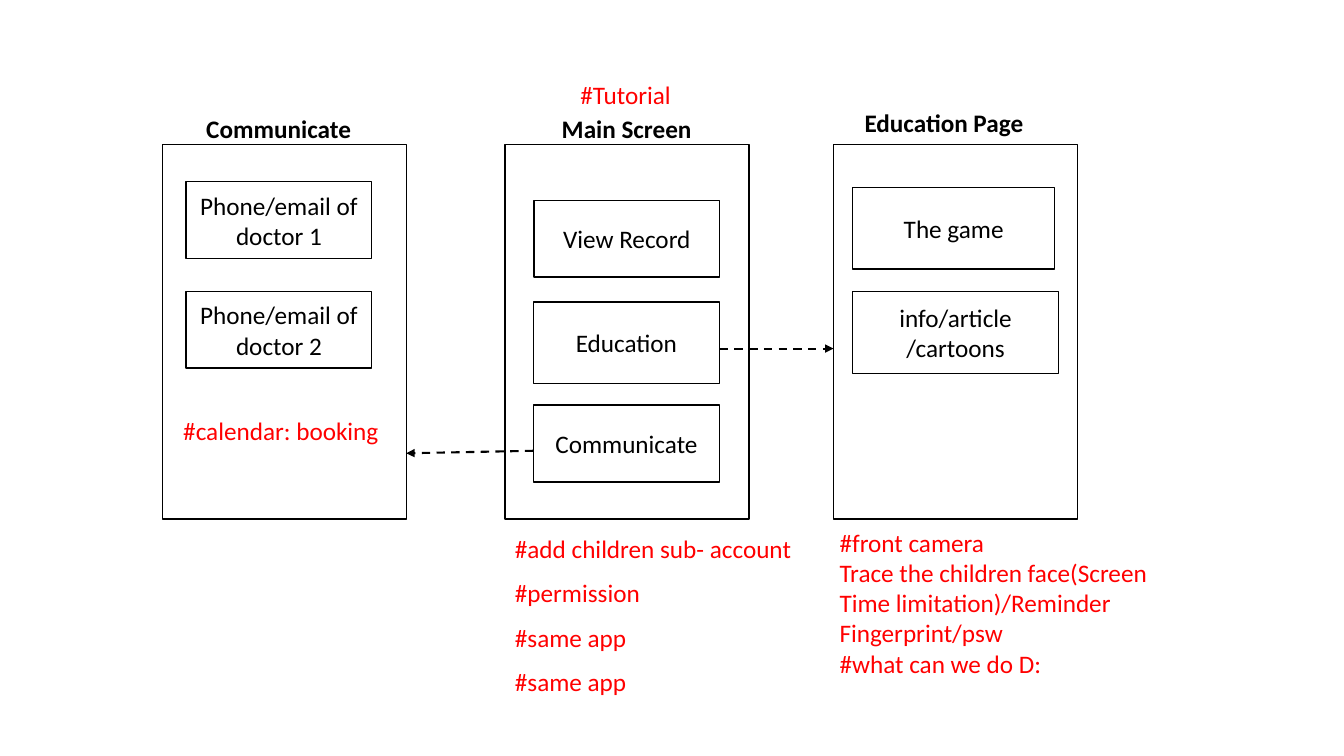
"""Build the app screen-flow slide: three screens, their boxes, links and red notes."""
from typing import NamedTuple

from pptx import Presentation
from pptx.dml.color import RGBColor
from pptx.enum.dml import MSO_LINE
from pptx.enum.shapes import MSO_CONNECTOR, MSO_SHAPE
from pptx.enum.text import MSO_ANCHOR as Anchor, MSO_AUTO_SIZE as AutoSize, PP_ALIGN as Align
from pptx.oxml.ns import qn
from pptx.util import Pt
from lxml.etree import SubElement

BLACK = RGBColor(0, 0, 0)
RED = RGBColor(255, 0, 0)
SCREEN_TOP, SCREEN_WIDTH, SCREEN_HEIGHT = 103, 174.3, 267.8
HEADING_HEIGHT, NOTE_HEIGHT = 31, 29
IDEAS_TOP, IDEA_STEP = 377.4, 31.7


class Area(NamedTuple):
    left: float
    top: float
    width: float
    height: float


class Box(NamedTuple):
    area: Area
    lines: list[str]


class Screen(NamedTuple):
    left: float
    heading: Box
    boxes: list[Box]


class Link(NamedTuple):
    start: tuple[float, float]
    end: tuple[float, float]


SCREENS = [
    Screen(115.9, Box(Area(120.2, 76.3, 157.7, HEADING_HEIGHT), ["Communicate"]), [
        Box(Area(133, 129.8, 132.6, 54.8), ["Phone/email of doctor 1"]),
        Box(Area(133, 208.2, 132.6, 54.8), ["Phone/email of doctor 2"]),
    ]),
    Screen(360.7, Box(Area(385, 76.3, 125.3, HEADING_HEIGHT), ["Main Screen"]), [
        Box(Area(381.5, 143.2, 132.6, 54.8), ["View Record"]),
        Box(Area(381, 215.8, 133, 58.2), ["Education"]),
        Box(Area(381.2, 289.4, 132.6, 54.8), ["Communicate"]),
    ]),
    Screen(595.4, Box(Area(595.4, 72, 157.7, HEADING_HEIGHT), ["Education Page"]), [
        Box(Area(609.1, 133.9, 144.2, 58.2), ["The game"]),
        Box(Area(609.1, 208.2, 146.8, 58.5), ["info/article", "/cartoons"]),
    ]),
]
LINKS = [Link((514.1, 249), (595.4, 249)), Link((380.9, 322), (290.2, 323.8))]
IDEAS = ["#add children sub- account", "#permission", "#same app", "#same app"]
NOTES = [
    Box(Area(407.5, 53.3, 157.7, NOTE_HEIGHT), ["#Tutorial"]),
    Box(Area(123.8, 293, 157.7, NOTE_HEIGHT), ["#calendar: booking"]),
    *(Box(Area(360.7, IDEAS_TOP + IDEA_STEP * row, 220.3, NOTE_HEIGHT), [idea])
      for row, idea in enumerate(IDEAS)),
    Box(Area(592.6, 372.8, 262.1, 116.6), [
        "#front camera",
        "Trace the children face(Screen Time limitation)/Reminder",
        "Fingerprint/psw",
        "#what can we do D:",
    ]),
]


def write(frame, lines: list[str], color: RGBColor, align: Align, anchor: Anchor,
          bold: bool = False) -> None:
    """Fill a text frame with one paragraph per line."""
    frame.word_wrap = True
    frame.vertical_anchor = anchor
    frame.text = "\n".join(lines)
    for paragraph in frame.paragraphs:
        paragraph.alignment = align
        font = paragraph.font
        font.name, font.size, font.bold = "Calibri", Pt(18), bold
        font.color.rgb = color


def draw_outline(slide, area: Area):
    """Draw an unfilled rectangle with a thin black line."""
    outline = slide.shapes.add_shape(MSO_SHAPE.RECTANGLE, *map(Pt, area))
    outline.shadow.inherit = False
    outline.fill.background()
    outline.line.color.rgb = BLACK
    outline.line.width = Pt(1)
    return outline


def draw_screen(slide, screen: Screen) -> None:
    """Draw a screen frame with its heading and boxes."""
    draw_outline(slide, Area(screen.left, SCREEN_TOP, SCREEN_WIDTH, SCREEN_HEIGHT))
    heading = slide.shapes.add_textbox(*map(Pt, screen.heading.area))
    write(heading.text_frame, screen.heading.lines, BLACK, Align.CENTER, Anchor.MIDDLE, bold=True)
    for box in screen.boxes:
        outline = draw_outline(slide, box.area)
        write(outline.text_frame, box.lines, BLACK, Align.CENTER, Anchor.MIDDLE)


def draw_link(slide, link: Link) -> None:
    """Draw a dashed arrow between two screens."""
    arrow = slide.shapes.add_connector(MSO_CONNECTOR.STRAIGHT, *map(Pt, link.start + link.end))
    arrow.line.color.rgb = BLACK
    arrow.line.width = Pt(1.5)
    arrow.line.dash_style = MSO_LINE.DASH
    SubElement(arrow.line._get_or_add_ln(), qn("a:tailEnd"), type="triangle")
    SubElement(arrow._element.spPr, qn("a:effectLst"))


def draw_note(slide, note: Box) -> None:
    """Write a red note."""
    textbox = slide.shapes.add_textbox(*map(Pt, note.area))
    write(textbox.text_frame, note.lines, RED, Align.LEFT, Anchor.TOP)
    textbox.text_frame.auto_size = AutoSize.SHAPE_TO_FIT_TEXT


def main() -> None:
    """Build and save the slide."""
    deck = Presentation()
    deck.slide_width, deck.slide_height = Pt(960), Pt(540)
    slide = deck.slides.add_slide(deck.slide_layouts.get_by_name("Blank"))
    for screen in SCREENS:
        draw_screen(slide, screen)
    for link in LINKS:
        draw_link(slide, link)
    for note in NOTES:
        draw_note(slide, note)
    deck.save("out.pptx")


main()
